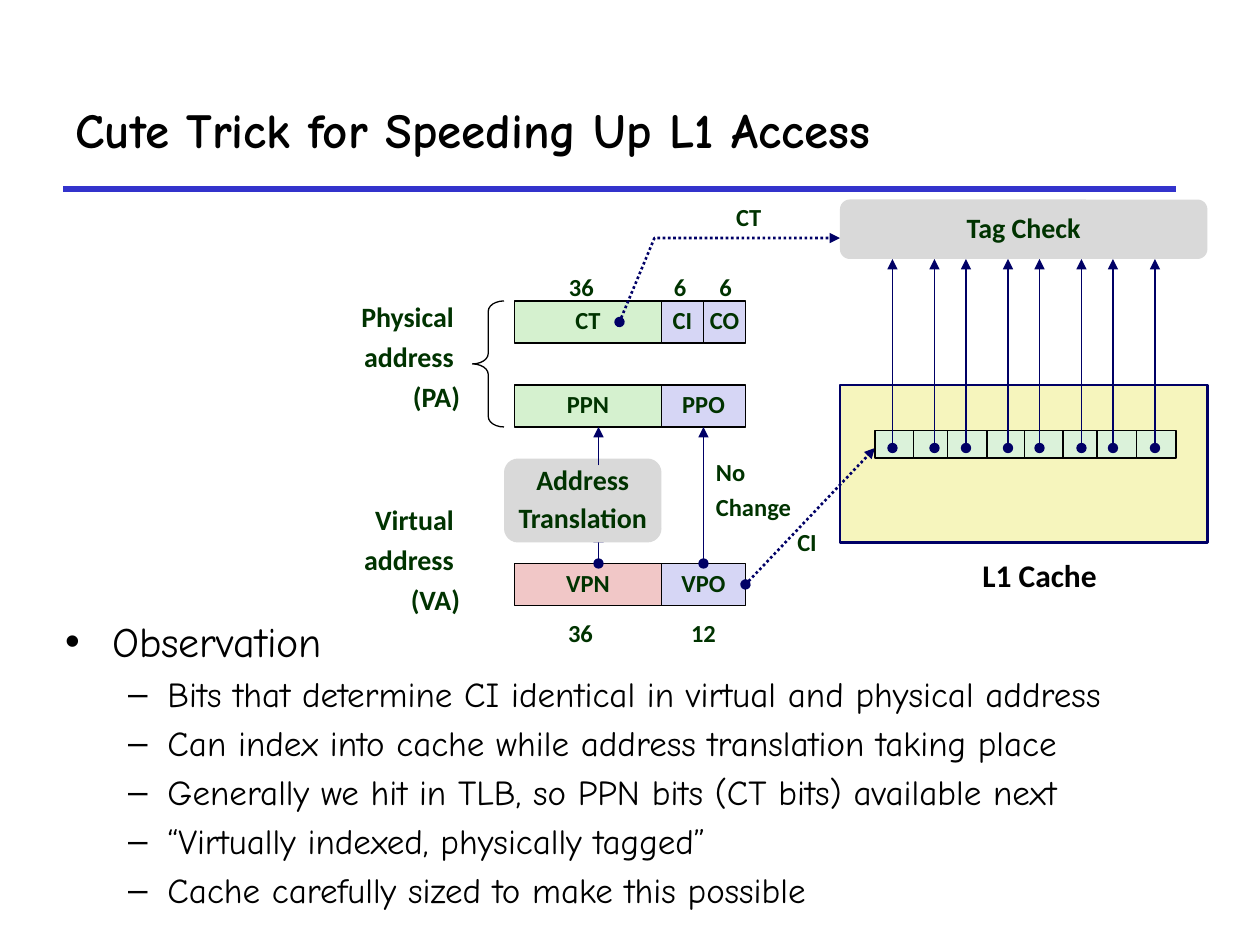
from dataclasses import dataclass

from lxml.etree import SubElement
from pptx import Presentation
from pptx.dml.color import RGBColor
from pptx.enum.dml import MSO_LINE
from pptx.enum.shapes import MSO_CONNECTOR, MSO_SHAPE as Shape
from pptx.enum.text import MSO_ANCHOR, MSO_AUTO_SIZE as AutoSize, PP_ALIGN as Align
from pptx.oxml.ns import qn
from pptx.util import Pt


@dataclass(frozen=True)
class Theme:
    prose_font: str = "Comic Neue"
    label_font: str = "Calibri"
    title_size: float = 28
    topic_size: float = 24
    point_size: float = 20
    caption_size: float = 18
    heading_size: float = 16
    label_size: float = 14
    black: str = "000000"
    label: str = "003300"
    arrow: str = "000066"
    rule: str = "3333CC"
    tag: str = "D5F1CF"
    offset: str = "D6D6F5"
    virtual: str = "F1C7C7"
    unit: str = "D9D9D9"
    cache: str = "F6F5BD"
    line: str = "DBF2DA"


THEME = Theme()
FIELD_X, SPLIT_X, FIELD_H = 294, 378, 24
TAG_W, OFFSET_W = 84, 48
PA_Y, PPN_Y, VA_Y = 172, 220, 322
CACHE_X, CACHE_W = 480, 210
CACHE_LINE_XS = (500, 522, 541.5, 564, 585.5, 607.5, 627, 649.5)
POINTS = (
    "Bits that determine CI identical in virtual and physical address",
    "Can index into cache while address translation taking place",
    "Generally we hit in TLB, so PPN bits (CT bits) available next",
    "“Virtually indexed, physically tagged”",
    "Cache carefully sized to make this possible",
)


def color(value):
    return RGBColor.from_string(value)


def style_font(font, name, size, ink, bold=False):
    font.name, font.size, font.bold = name, Pt(size), bold
    font.color.rgb = color(ink)


def place(item, left, top, width, height):
    item.left, item.top, item.width, item.height = map(Pt, (left, top, width, height))


def write_label(frame, text, size=THEME.label_size, align=Align.LEFT, ink=THEME.label, gap=5.2):
    """Fill a frame with bold, tightly set diagram lettering."""
    frame.text = text
    for index, paragraph in enumerate(frame.paragraphs):
        paragraph.alignment = align
        paragraph.line_spacing = 0.88
        paragraph.space_before = Pt(gap if index else 0)
        for run in paragraph.runs:
            style_font(run.font, THEME.label_font, size, ink, True)


def add_label(slide, box, text, wrap=False, **lettering):
    frame = slide.shapes.add_textbox(*map(Pt, box)).text_frame
    write_label(frame, text, **lettering)
    frame.word_wrap = wrap
    frame.auto_size = AutoSize.SHAPE_TO_FIT_TEXT


def add_block(slide, box, fill, outline=THEME.black, weight=0.75, text="",
              size=THEME.label_size, kind=Shape.RECTANGLE):
    block = slide.shapes.add_shape(kind, *map(Pt, box))
    block.shadow.inherit = False
    if fill:
        block.fill.solid()
        block.fill.fore_color.rgb = color(fill)
    else:
        block.fill.background()
    if outline:
        block.line.color.rgb = color(outline)
        block.line.width = Pt(weight)
    else:
        block.line.fill.background()
    if text:
        frame = block.text_frame
        frame.word_wrap = False
        frame.vertical_anchor = MSO_ANCHOR.MIDDLE
        write_label(frame, text, size, Align.CENTER)
    return block


def add_unit(slide, box, text):
    """Add a rounded grey processing step."""
    add_block(slide, box, THEME.unit, None, text=text,
              size=THEME.heading_size, kind=Shape.ROUNDED_RECTANGLE)


def style_stroke(line, ink, weight, dotted=False, dot=False, arrow=False):
    line.color.rgb = color(ink)
    line.width = Pt(weight)
    if dotted:
        line.dash_style = MSO_LINE.ROUND_DOT
    stroke = line.fill._xPr
    if dot:
        SubElement(stroke, qn("a:headEnd"), type="oval")
    if arrow:
        SubElement(stroke, qn("a:tailEnd"), type="triangle")


def add_line(slide, start, end, ink=THEME.arrow, weight=0.75, **ends):
    line = slide.shapes.add_connector(MSO_CONNECTOR.STRAIGHT, *map(Pt, start + end))
    style_stroke(line.line, ink, weight, **ends)
    SubElement(line._element.spPr, qn("a:effectLst"))


def add_title(slide):
    title = slide.shapes.title
    place(title, 36, 42, 624, 63)
    frame = title.text_frame
    frame.text = "Cute Trick for Speeding Up L1 Access"
    frame.vertical_anchor = MSO_ANCHOR.MIDDLE
    frame.paragraphs[0].alignment = Align.LEFT
    style_font(frame.paragraphs[0].runs[0].font, THEME.prose_font,
               THEME.title_size, THEME.black, True)
    add_line(slide, (36, 108), (672, 108), THEME.rule, 3)


def add_observations(slide):
    body = slide.placeholders[1]
    place(body, 30, 348, 673, 184)
    frame = body.text_frame
    frame.text = "\n".join(("Observation",) + POINTS)
    frame.auto_size = AutoSize.NONE
    for index, paragraph in enumerate(frame.paragraphs):
        paragraph.level = 1 if index else 0
        size = THEME.point_size if index else THEME.topic_size
        style_font(paragraph.runs[0].font, THEME.prose_font, size, THEME.black)
    frame.paragraphs[0].space_before = Pt(0)


def add_addresses(slide):
    fields = (
        ("CT", FIELD_X, PA_Y, TAG_W, THEME.tag),
        ("CI", SPLIT_X, PA_Y, OFFSET_W / 2, THEME.offset),
        ("CO", SPLIT_X + OFFSET_W / 2, PA_Y, OFFSET_W / 2, THEME.offset),
        ("PPN", FIELD_X, PPN_Y, TAG_W, THEME.tag),
        ("PPO", SPLIT_X, PPN_Y, OFFSET_W, THEME.offset),
        ("VPN", FIELD_X, VA_Y, TAG_W, THEME.virtual),
        ("VPO", SPLIT_X, VA_Y, OFFSET_W, THEME.offset),
    )
    for name, left, top, width, fill in fields:
        add_block(slide, (left, top, width, FIELD_H), fill, text=name)
    for bits, left, top in (("36", 318, 154), ("6", 378, 154), ("6", 404, 154), ("36", 317.5, 352)):
        add_label(slide, (left, top, 29 if len(bits) > 1 else 21.5, 22.5), bits)
    add_label(slide, (SPLIT_X, 352, OFFSET_W, 22.5), "12", wrap=True, align=Align.CENTER)
    for text, top in (("Physical \naddress \n(PA)", 170), ("Virtual \naddress \n(VA)", 286)):
        add_label(slide, (186, top, 84, 70.5), text, wrap=True,
                  size=THEME.heading_size, align=Align.RIGHT, gap=6)
    brace = add_block(slide, (270, PA_Y, 18, 72), None, kind=Shape.LEFT_BRACE)
    brace.adjustments[0] = 0.33


def add_translation(slide):
    add_line(slide, (342, VA_Y), (342, 304), dot=True, arrow=True)
    add_unit(slide, (288, 262, 90, 48), "Address\nTranslation")
    add_line(slide, (342, 266), (342, PPN_Y + FIELD_H), arrow=True)
    add_line(slide, (402, VA_Y), (402, PPN_Y + FIELD_H), dot=True, arrow=True)
    add_label(slide, (402, 260, 57.5, 42.5), "No\nChange")


def add_cache(slide):
    add_block(slide, (CACHE_X, 220, CACHE_W, 90), THEME.cache, THEME.arrow, 1.5)
    add_line(slide, (426, 334), (500, 256), weight=1.5, dotted=True, dot=True, arrow=True)
    add_label(slide, (448.5, 300, 26, 22.5), "CI")
    builder = slide.shapes.build_freeform(Pt(354), Pt(184))
    builder.add_line_segments([(Pt(374), Pt(136)), (Pt(CACHE_X), Pt(136))], close=False)
    tag_route = builder.convert_to_shape()
    tag_route.shadow.inherit = False
    tag_route.fill.background()
    style_stroke(tag_route.line, THEME.arrow, 1.5, dotted=True, dot=True, arrow=True)
    add_label(slide, (413.5, 114, 29, 22.5), "CT")
    add_label(slide, (546, 317, 96, 29), "L1 Cache", wrap=True,
              size=THEME.caption_size, align=Align.CENTER, ink=THEME.black)
    for left in CACHE_LINE_XS:
        add_block(slide, (left, 246, 22.5, 16), THEME.line, weight=1)
    for index in range(len(CACHE_LINE_XS)):
        pair, second = divmod(index, 2)
        x = 510 + 42 * pair + 24 * second
        add_line(slide, (x, 256), (x, 148), dot=True, arrow=True)
    add_unit(slide, (CACHE_X, 114, CACHE_W, 34), "Tag Check")


def main():
    deck = Presentation()
    deck.slide_width, deck.slide_height = Pt(720), Pt(540)
    slide = deck.slides.add_slide(deck.slide_layouts[1])
    add_title(slide)
    add_observations(slide)
    add_addresses(slide)
    add_translation(slide)
    add_cache(slide)
    deck.save("out.pptx")


if __name__ == "__main__":
    main()
